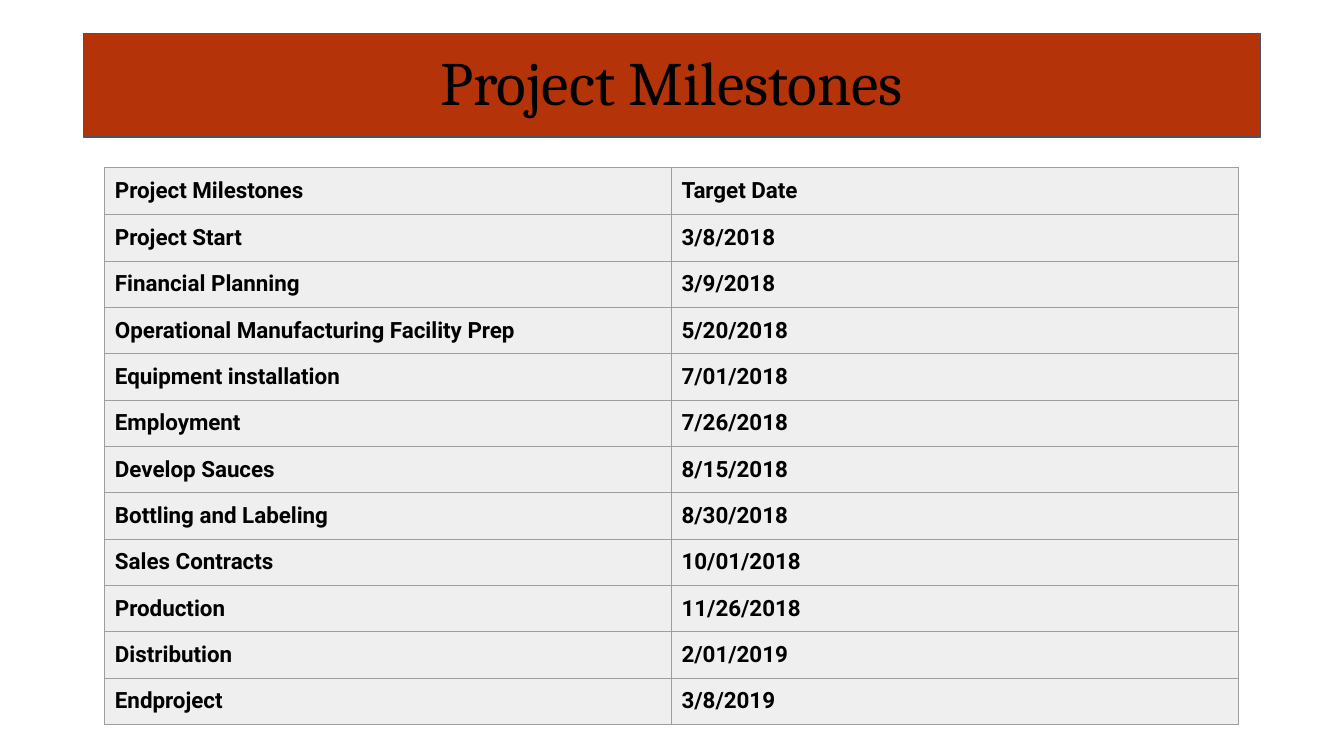
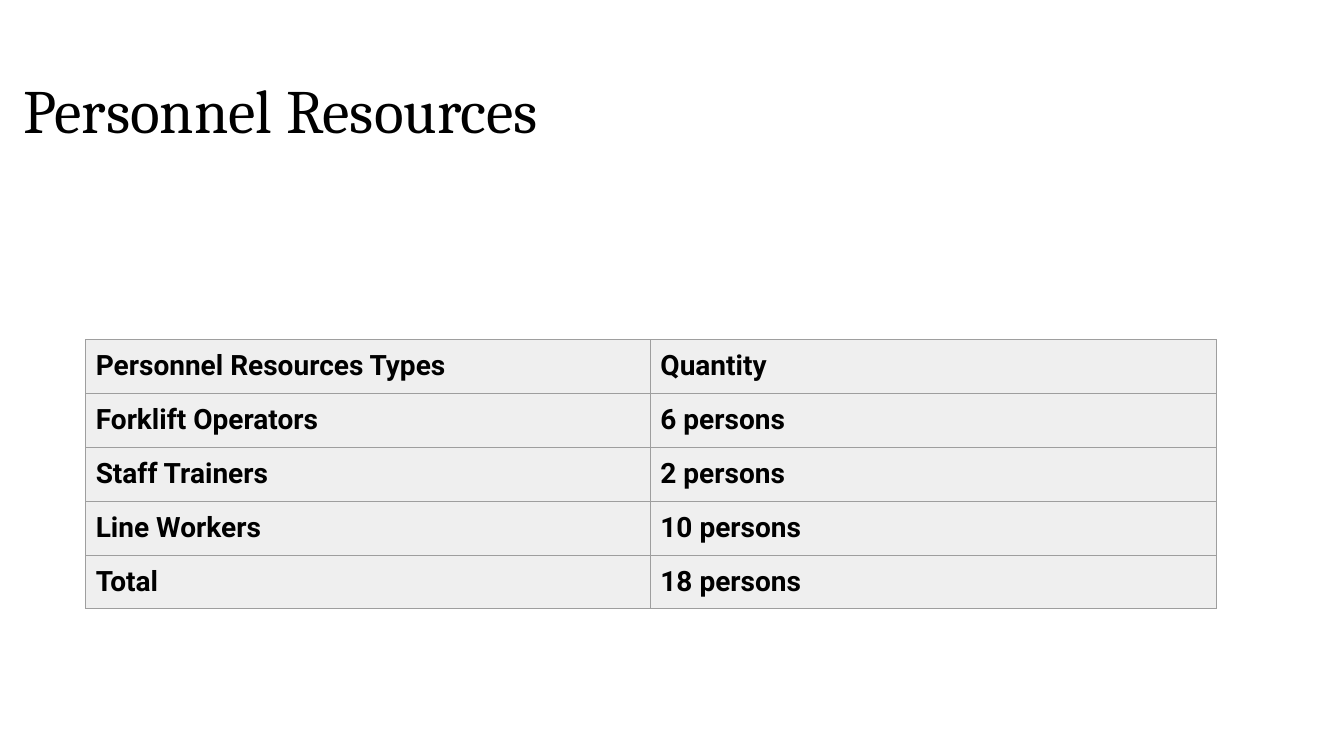
from dataclasses import dataclass

from lxml import etree
from pptx import Presentation
from pptx import util as u
from pptx.dml.color import RGBColor
from pptx.enum import shapes, text
from pptx.oxml import ns


@dataclass(frozen=True)
class Theme:
    ink: RGBColor = RGBColor.from_string("000000")
    band: RGBColor = RGBColor.from_string("B43308")
    band_line: RGBColor = RGBColor.from_string("44546A")
    cell: RGBColor = RGBColor.from_string("EFEFEF")
    grid: str = "9E9E9E"
    line_width: u.Pt = u.Pt(0.75)
    title_font: str = "Cambria"
    body_font: str = "Roboto"
    title_size: u.Pt = u.Pt(44)
    dense_size: u.Pt = u.Pt(16)
    roomy_size: u.Pt = u.Pt(20)
    cell_margin: u.Inches = u.Inches(0.1)


THEME = Theme()

MILESTONES = [
    ("Project Milestones", "Target Date"),
    ("Project Start", "3/8/2018"),
    ("Financial Planning", "3/9/2018"),
    ("Operational Manufacturing Facility Prep", "5/20/2018"),
    ("Equipment installation", "7/01/2018"),
    ("Employment", "7/26/2018"),
    ("Develop Sauces", "8/15/2018"),
    ("Bottling and Labeling", "8/30/2018"),
    ("Sales Contracts", "10/01/2018"),
    ("Production", "11/26/2018"),
    ("Distribution", "2/01/2019"),
    ("Endproject", "3/8/2019"),
]

PERSONNEL = [
    ("Personnel Resources Types", "Quantity"),
    ("Forklift Operators", "6 persons"),
    ("Staff Trainers", "2 persons"),
    ("Line Workers", "10 persons"),
    ("Total", "18 persons"),
]


def style_font(paragraph, name, size, bold=False):
    for run in paragraph.runs:
        run.font.name = name
        run.font.size = size
        run.font.bold = bold
        run.font.color.rgb = THEME.ink


def add_band(slide, box):
    band = slide.shapes.add_shape(
        shapes.MSO_SHAPE.RECTANGLE, *map(u.Inches, box))
    band.shadow.inherit = False
    band.fill.solid()
    band.fill.fore_color.rgb = THEME.band
    band.line.color.rgb = THEME.band_line
    band.line.width = THEME.line_width


def add_title(slide, wording, box, align):
    frame = slide.shapes.add_textbox(*map(u.Inches, box)).text_frame
    frame.word_wrap = True
    frame.vertical_anchor = text.MSO_ANCHOR.MIDDLE
    frame.text = wording
    heading = frame.paragraphs[0]
    heading.alignment = align
    heading.line_spacing = 0.9
    style_font(heading, THEME.title_font, THEME.title_size)


def add_borders(cell):
    properties = cell._tc.get_or_add_tcPr()
    # Borders come before the fill in the cell properties
    for position, side in enumerate(("lnL", "lnR", "lnT", "lnB")):
        border = etree.Element(ns.qn(f"a:{side}"), w=str(THEME.line_width))
        fill = etree.SubElement(border, ns.qn("a:solidFill"))
        etree.SubElement(fill, ns.qn("a:srgbClr"), val=THEME.grid)
        properties.insert(position, border)


def style_cell(cell, wording, size):
    cell.text = wording
    cell.margin_left = cell.margin_right = THEME.cell_margin
    cell.margin_top = cell.margin_bottom = THEME.cell_margin
    cell.fill.solid()
    cell.fill.fore_color.rgb = THEME.cell
    style_font(cell.text_frame.paragraphs[0], THEME.body_font, size, bold=True)
    add_borders(cell)


def add_grid(slide, entries, left, top, column_widths, row_height, size):
    grid = slide.shapes.add_table(
        len(entries), len(column_widths), u.Inches(left), u.Inches(top),
        u.Inches(sum(column_widths)),
        u.Inches(row_height * len(entries))).table
    grid.first_row = grid.horz_banding = False
    for column, width in zip(grid.columns, column_widths):
        column.width = u.Inches(width)
    for row, entry in zip(grid.rows, entries):
        row.height = u.Inches(row_height)
        for cell, wording in zip(row.cells, entry):
            style_cell(cell, wording, size)
    return grid


def build_milestones(slide):
    grid = add_grid(slide, MILESTONES, 1.04, 1.66, (5.62, 5.62), 0.46,
                    THEME.dense_size)
    grid.rows[0].height = u.Inches(0.47)
    # Title on its band
    band_box = (0.83, 0.33, 11.67, 1.03)
    add_band(slide, band_box)
    add_title(slide, "Project Milestones", band_box, text.PP_ALIGN.CENTER)


def build_personnel(slide):
    add_title(slide, "Personnel Resources", (0.13, 0.4, 7.02, 1.45),
              text.PP_ALIGN.LEFT)
    add_grid(slide, PERSONNEL, 0.85, 3.37, (5.6, 5.62), 0.53,
             THEME.roomy_size)


def main():
    deck = Presentation()
    deck.slide_width = u.Inches(13.33)
    deck.slide_height = u.Inches(7.5)
    blank = deck.slide_layouts[6]
    for build in (build_milestones, build_personnel):
        build(deck.slides.add_slide(blank))
    deck.save("out.pptx")


if __name__ == "__main__":
    main()
